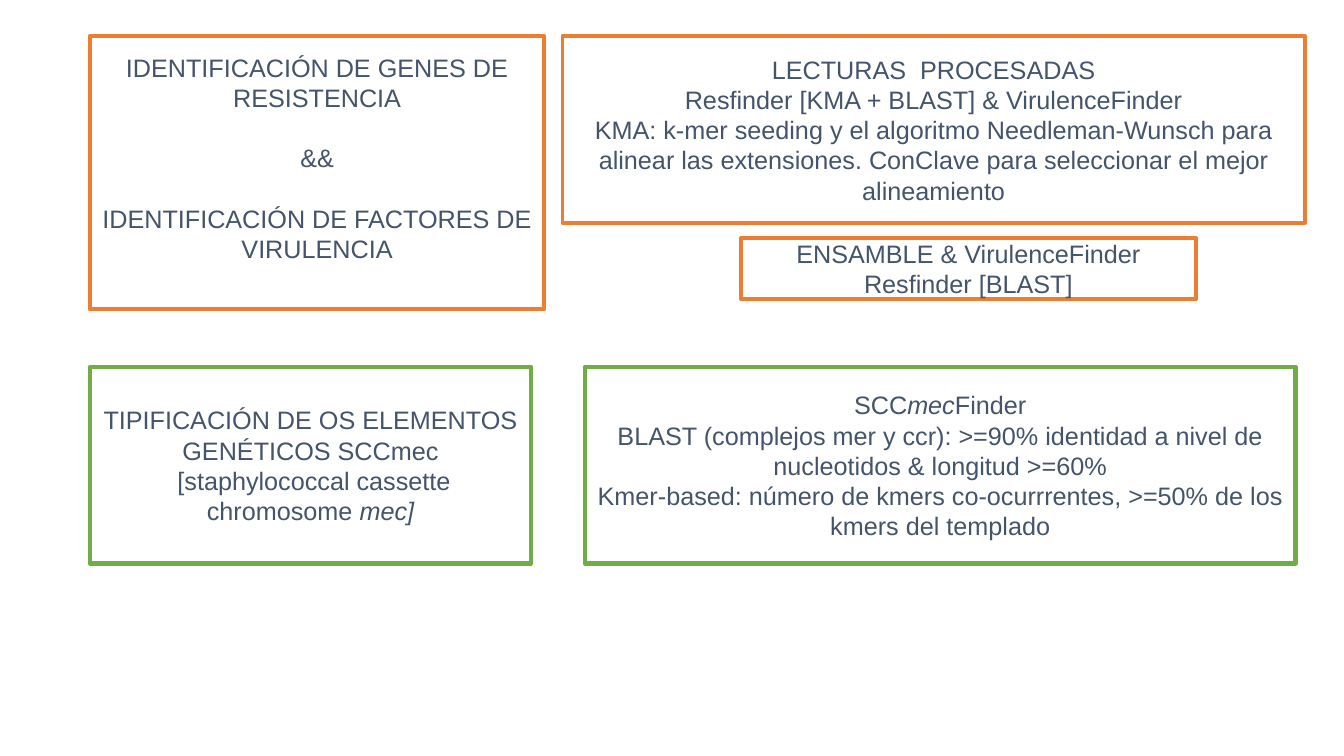
from pptx import Presentation
from pptx.dml.color import RGBColor
from pptx.enum.shapes import MSO_SHAPE
from pptx.enum.text import MSO_ANCHOR, PP_ALIGN
from pptx.util import Inches, Pt

ORANGE = RGBColor(0xED, 0x7D, 0x31)
GREEN = RGBColor(0x70, 0xAD, 0x47)
SLATE = RGBColor(0x44, 0x54, 0x6A)
FONT, SIZE = "Arial", 18
GAP = 21.5  # one line of text, in points

GENES = [
    "IDENTIFICACIÓN DE GENES DE RESISTENCIA",
    "&&",
    "IDENTIFICACIÓN DE FACTORES DE VIRULENCIA",
]
READS = [
    "LECTURAS  PROCESADAS",
    "Resfinder [KMA + BLAST] & VirulenceFinder",
    "KMA: k-mer seeding y el algoritmo Needleman-Wunsch para alinear "
    "las extensiones. ConClave para seleccionar el mejor alineamiento",
]
DRAFT = ["ENSAMBLE & VirulenceFinder", "Resfinder [BLAST]"]
# Asterisks enclose italics
TYPING = [
    "TIPIFICACIÓN DE OS ELEMENTOS GENÉTICOS SCCmec",
    " [staphylococcal cassette chromosome *mec]*",
]
FINDER = [
    "SCC*mec*Finder",
    "BLAST (complejos mer y ccr): >=90% identidad a nivel de "
    "nucleotidos & longitud >=60%",
    "Kmer-based: número de kmers co-ocurrrentes, >=50% de los "
    "kmers del templado",
]

# Grid in inches: left column, and the tops and heights of the rows
LEFT = 0.89
WIDE = 4.51
TOP, MID, LOW = 0.36, 2.36, 3.64
TALL = 1.95

# Lines, left, top, width, height, colour, border, gap between lines
BOXES = [
    (READS, 5.58, TOP, 7.36, 1.85, ORANGE, 2.75, 0),
    (DRAFT, 7.35, MID, WIDE, 0.61, ORANGE, 2.75, 0),
    (GENES, LEFT, TOP, WIDE, 2.71, ORANGE, 2.75, GAP),
    (TYPING, LEFT, LOW, 4.38, TALL, GREEN, 3, 0),
    (FINDER, 5.8, LOW, 7.05, TALL, GREEN, 3, 0),
]


def write(para, line):
    """Fill a paragraph, with the parts between asterisks in italics."""
    for i, part in enumerate(line.split("*")):
        if part:
            run = para.add_run()
            run.text = part
            font = run.font
            font.name, font.size = FONT, Pt(SIZE)
            font.color.rgb = SLATE
            if i % 2:
                font.italic = True


def add_box(slide, lines, left, top, width, height, color, border, gap):
    box = slide.shapes.add_shape(
        MSO_SHAPE.RECTANGLE, *map(Inches, (left, top, width, height)))
    box.shadow.inherit = False
    box.fill.background()
    box.line.color.rgb = color
    box.line.width = Pt(border)
    frame = box.text_frame
    frame.word_wrap = True
    frame.vertical_anchor = MSO_ANCHOR.MIDDLE
    # A spaced box also keeps one line free at its foot
    frame.margin_bottom = Inches(0.05) + Pt(gap)
    for i, line in enumerate(lines):
        para = frame.add_paragraph() if i else frame.paragraphs[0]
        para.alignment = PP_ALIGN.CENTER
        if i and gap:
            para.space_before = Pt(gap)
        write(para, line)


def main():
    deck = Presentation()
    deck.slide_width, deck.slide_height = Inches(13.33), Inches(7.5)
    slide = deck.slides.add_slide(deck.slide_layouts[6])
    for box in BOXES:
        add_box(slide, *box)
    deck.save("out.pptx")


if __name__ == "__main__":
    main()
